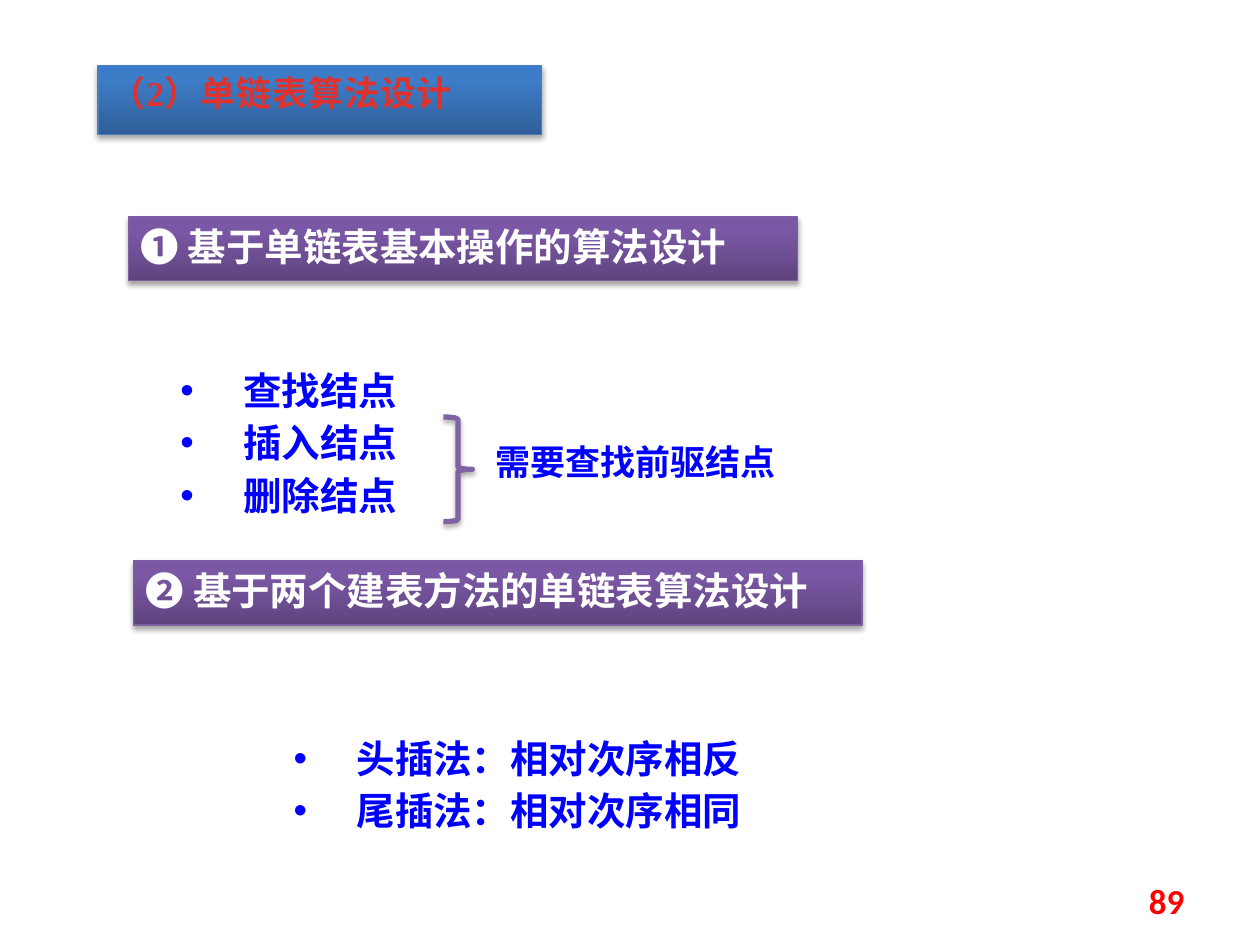
from dataclasses import dataclass

from lxml.etree import SubElement
from pptx import Presentation
from pptx.dml.color import RGBColor
from pptx.enum.shapes import MSO_SHAPE
from pptx.enum.text import MSO_ANCHOR, MSO_AUTO_SIZE, PP_ALIGN
from pptx.oxml.ns import qn
from pptx.util import Pt


@dataclass(frozen=True)
class Theme:
    # Gradients: (position in percent, colour), running from bottom to top
    title_gradient: tuple = ((0, "2F5F99"), (80, "3D7CC7"), (100, "3A7CCB"))
    banner_gradient: tuple = ((0, "5F4480"), (80, "7B58A6"), (100, "7C57A8"))
    title_edge: str = "4B7EBC"
    banner_edge: str = "7D60A0"
    brace: str = "8064A2"
    title: str = "E0322D"
    banner: str = "FFFFFF"
    body: str = "0000FF"
    page: str = "FF0000"
    shadow: str = "000000"
    large: int = 22
    medium: int = 20
    serif: str = "Times New Roman"
    sans: str = "Noto Sans CJK SC"
    number: str = "Calibri"


THEME = Theme()


def set_all(target, values):
    for name, value in values.items():
        setattr(target, name, value)


def place(shape, box):
    set_all(shape, dict(zip(("left", "top", "width", "height"), map(Pt, box))))


def write(shape, lines, font, size, color, anchor=MSO_ANCHOR.TOP, align=PP_ALIGN.LEFT):
    """Fill a shape with bold lines and return its paragraphs."""
    frame = shape.text_frame
    set_all(frame, {"word_wrap": True, "auto_size": MSO_AUTO_SIZE.NONE,
                    "vertical_anchor": anchor})
    frame.text = "\n".join(lines)
    for paragraph in frame.paragraphs:
        set_all(paragraph, {"alignment": align, "space_before": Pt(0)})
        run = paragraph.runs[0]
        set_all(run.font, {"name": font, "size": Pt(size), "bold": True})
        run.font.color.rgb = RGBColor.from_string(color)
        SubElement(run.font._element, qn("a:ea"), typeface=THEME.sans)
    return frame.paragraphs


def outline(shape, color, width):
    shape.line.color.rgb = RGBColor.from_string(color)
    shape.line.width = Pt(width)


def add_gradient(shape, stops):
    gradient = SubElement(shape._element.spPr, qn("a:gradFill"), rotWithShape="1")
    stop_list = SubElement(gradient, qn("a:gsLst"))
    for percent, color in stops:
        stop = SubElement(stop_list, qn("a:gs"), pos=str(percent * 1000))
        SubElement(stop, qn("a:srgbClr"), val=color)
    SubElement(gradient, qn("a:lin"), ang="16200000", scaled="0")


def add_shadow(shape):
    effects = SubElement(shape._element.spPr, qn("a:effectLst"))
    shadow = SubElement(effects, qn("a:outerShdw"), blurRad=str(Pt(3.1)),
                        dist=str(Pt(1.8)), dir="5400000", rotWithShape="0")
    color = SubElement(shadow, qn("a:srgbClr"), val=THEME.shadow)
    SubElement(color, qn("a:alpha"), val="35000")


def style_panel(shape, stops, edge):
    add_gradient(shape, stops)
    outline(shape, edge, 0.75)
    add_shadow(shape)


def build_title(heading, box, text):
    place(heading, box)
    style_panel(heading, THEME.title_gradient, THEME.title_edge)
    paragraph = write(heading, [text], THEME.serif, THEME.medium, THEME.title)[0]
    paragraph.runs[0].font._element.set("spc", "50")


def build_section(slide, box, text, points, list_offset, list_size, topics):
    """Banner with a bulleted list set off from its top left corner."""
    left, top = box[:2]
    banner = slide.shapes.add_shape(MSO_SHAPE.RECTANGLE, *map(Pt, box))
    style_panel(banner, THEME.banner_gradient, THEME.banner_edge)
    write(banner, [text], THEME.sans, THEME.large, THEME.banner)

    # Bulleted list
    place(points, (left + list_offset[0], top + list_offset[1], *list_size))
    for paragraph in write(points, topics, THEME.serif, THEME.large, THEME.body):
        paragraph.line_spacing = Pt(30)
        properties = paragraph._p.get_or_add_pPr()
        properties.set("marL", str(Pt(36)))
        properties.set("indent", str(-Pt(36)))


def build_brace_note(slide, box, text):
    """Brace at the left of the box, with its remark to the right."""
    left, top, width, height = box
    group = slide.shapes.add_group_shape()
    remark = group.shapes.add_textbox(
        *map(Pt, (left + 22.4, top + 10, width - 22.4, 32.4)))
    write(remark, [text], THEME.sans, THEME.medium, THEME.body)
    brace = group.shapes.add_shape(
        MSO_SHAPE.RIGHT_BRACE, *map(Pt, (left, top, 16.6, height)))
    brace.fill.background()
    outline(brace, THEME.brace, 3)
    add_shadow(brace)


def build_page_number(slide, box, number):
    page = slide.shapes.add_textbox(*map(Pt, box))
    write(page, [number], THEME.number, THEME.medium, THEME.page,
          MSO_ANCHOR.MIDDLE, PP_ALIGN.RIGHT)


def main():
    presentation = Presentation()
    set_all(presentation, {"slide_width": Pt(720), "slide_height": Pt(540)})
    slide = presentation.slides.add_slide(presentation.slide_layouts[3])
    heading, operations, methods = slide.placeholders

    build_title(heading, (56, 37.5, 253.5, 39.5), "（2）单链表算法设计")
    build_section(slide, (73.4, 123.8, 382.3, 36.7), "❶ 基于单链表基本操作的算法设计",
                  operations, (22.4, 78.5), (174.2, 98),
                  ["查找结点", "插入结点", "删除结点"])
    build_brace_note(slide, (253.4, 238.3, 219, 59.8), "需要查找前驱结点")
    build_section(slide, (76.3, 320.4, 416.2, 36.7), "❷ 基于两个建表方法的单链表算法设计",
                  methods, (84.3, 92.2), (286.6, 65.5),
                  ["头插法：相对次序相反", "尾插法：相对次序相同"])
    build_page_number(slide, (516.2, 500.4, 167.8, 28.8), "89")

    presentation.save("out.pptx")


if __name__ == "__main__":
    main()
